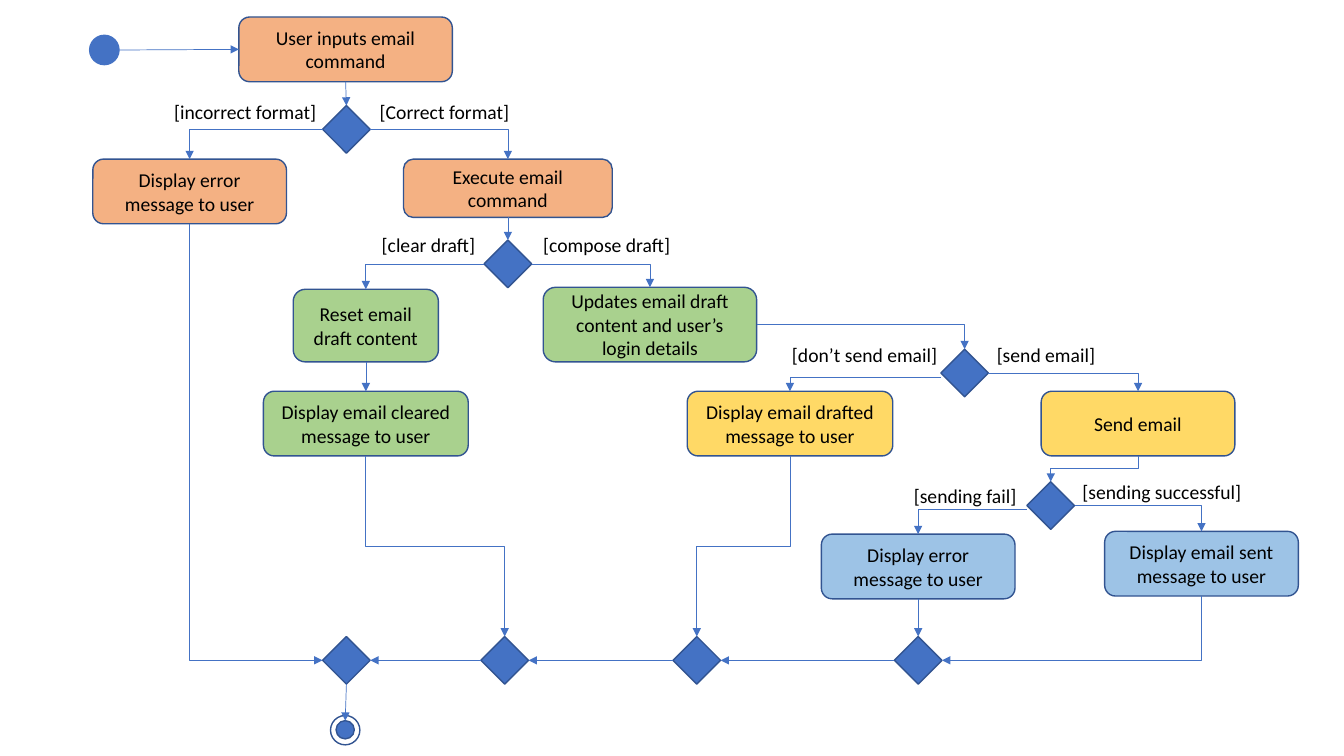
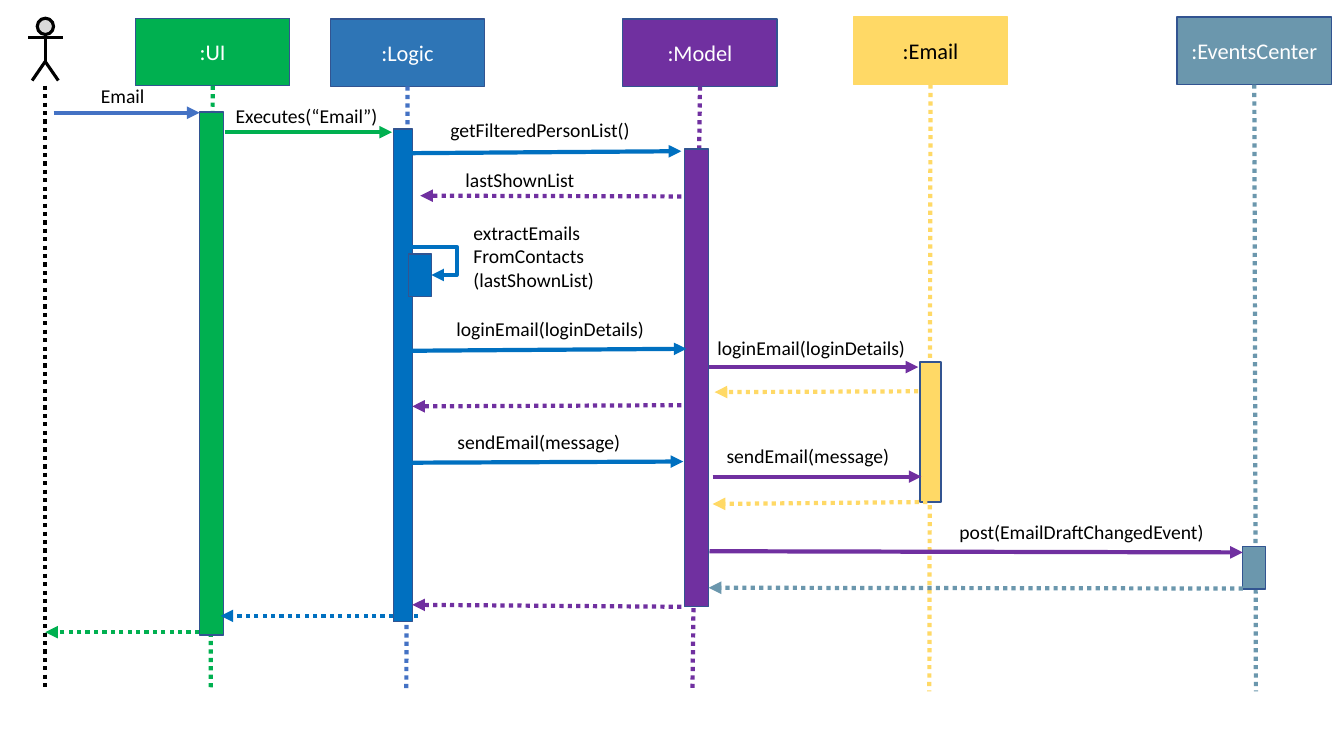
from lxml import etree
from pptx import Presentation
from pptx.dml.color import RGBColor
from pptx.enum import dml, shapes, text
from pptx.oxml import ns
from pptx.util import Cm, Pt

FONT = "Calibri"
BLACK, WHITE = "000000", "FFFFFF"
BLUE, EDGE = "4472C4", "325491"
ORANGE, LIME, YELLOW, SKY = "F4B183", "A9D18E", "FFD966", "9DC3E6"
GREEN, AZURE, PURPLE, TEAL = "00B050", "0070C0", "7030A0", "6B97AD"
GREY, LOGIC_BLUE = "D9D9D9", "2E75B6"
KINDS = shapes.MSO_SHAPE
LABEL_HEIGHT = 0.86

ACTIONS = {
    "input": (8.71, 0.43, 5.38, 1.63, ORANGE, "User inputs email command"),
    "format error": (4.78, 4.01, 4.88, 1.63, ORANGE, "Display error message to user"),
    "execute": (12.8, 4.01, 5.26, 1.47, ORANGE, "Execute email command"),
    "reset": (9.22, 7.29, 3.66, 1.83, LIME, "Reset email draft content"),
    "cleared": (9.22, 9.86, 5.16, 1.63, LIME, "Display email cleared message to user"),
    "update": (16.38, 7.24, 5.38, 1.88, LIME,
               "Updates email draft content and user’s login details"),
    "drafted": (19.91, 9.86, 5.18, 1.63, YELLOW, "Display email drafted message to user"),
    "send": (28.68, 9.86, 4.88, 1.63, YELLOW, "Send email"),
    "send error": (23.14, 13.46, 4.88, 1.63, SKY, "Display error message to user"),
    "sent": (30.28, 13.39, 4.88, 1.63, SKY, "Display email sent message to user"),
}
DECISION_SIZE, MERGE_TOP = 1.2, 16.04
DECISIONS = {
    "valid format?": (8.73, 2.66),
    "which draft?": (12.8, 6.05),
    "send now?": (24.31, 8.8),
    "delivered?": (26.48, 12.14),
    "merge format": (8.73, MERGE_TOP),
    "merge draft": (12.72, MERGE_TOP),
    "merge send": (17.56, MERGE_TOP),
    "merge delivery": (23.14, MERGE_TOP),
}
STATES = {
    "start": (2.63, 0.89, 0.74, BLUE, BLUE),
    "ring": (8.7, 18.03, 0.74, None, EDGE),
    "end": (8.7, 18.16, 0.46, BLUE, EDGE),
}
FLOWS = [
    ("start", "input", "level"),
    ("input", "valid format?", "drop"),
    ("valid format?", "execute", "branch"),
    ("valid format?", "format error", "branch"),
    ("execute", "which draft?", "drop"),
    ("which draft?", "reset", "branch"),
    ("which draft?", "update", "branch"),
    ("reset", "cleared", "drop"),
    ("update", "send now?", "branch"),
    ("send now?", "drafted", "branch", 0.1),
    ("send now?", "send", "branch"),
    ("send", "delivered?", "step"),
    ("delivered?", "send error", "branch", 0.1),
    ("delivered?", "sent", "branch"),
    ("format error", "merge format", "join"),
    ("cleared", "merge draft", "step"),
    ("drafted", "merge send", "step"),
    ("send error", "merge delivery", "drop"),
    ("sent", "merge delivery", "join"),
    ("merge delivery", "merge send", "level"),
    ("merge send", "merge draft", "level"),
    ("merge draft", "merge format", "level"),
    ("merge format", "end", "drop"),
]
GUARDS = [
    (9.32, 2.39, 4.95, "[Correct format]"),
    (4.14, 2.39, 4.47, "[incorrect format]"),
    (9.37, 5.74, 3.94, "[clear draft]"),
    (13.44, 5.74, 4.83, "[compose draft]"),
    (24.87, 8.51, 3.94, "[send email]"),
    (19.71, 8.51, 5.23, "[don’t send email]"),
    (27.03, 11.96, 5.23, "[sending successful]"),
    (22.78, 12.06, 5.23, "[sending fail]"),
]

HEADER_WIDTH, HEADER_HEIGHT, LIFELINE_END = 3.89, 1.7, 17.42
PARTICIPANTS = [
    (":UI", 5.36, 0.46, 5.31, GREEN, EDGE, WHITE, GREEN),
    (":Logic", 10.27, 0.48, 10.24, LOGIC_BLUE, EDGE, WHITE, BLUE),
    (":Model", 17.64, 0.48, 17.45, PURPLE, EDGE, WHITE, PURPLE),
    (":Email", 23.45, 0.43, 23.42, YELLOW, YELLOW, BLACK, YELLOW),
    (":EventsCenter", 31.61, 0.43, 31.65, TEAL, EDGE, WHITE, TEAL),
]
ACTOR_X = 1.14
ACTOR_HEAD = (0.94, 0.46, 0.41, 0.41)
ACTOR_LIMBS = [
    (ACTOR_X, 0.86, ACTOR_X, 1.55),
    (0.71, 0.94, 1.6, 0.94),
    (ACTOR_X, 1.55, 0.81, 2.03),
    (ACTOR_X, 1.55, 1.47, 2.03),
]
ACTIVATIONS = [
    (5.03, 2.82, 0.61, 13.18, GREEN),
    (9.91, 3.25, 0.48, 12.42, AZURE),
    (10.29, 6.4, 0.58, 1.07, AZURE),
    (17.25, 3.76, 0.61, 11.53, PURPLE),
    (23.19, 9.12, 0.53, 3.53, YELLOW),
    (31.32, 13.77, 0.58, 1.07, TEAL),
]
CALLS = [
    (1.35, 2.84, 5.03, 2.84, BLUE),
    (5.66, 3.33, 9.88, 3.33, GREEN),
    (10.34, 3.86, 17.17, 3.81, AZURE),
    (10.16, 8.84, 17.3, 8.79, AZURE),
    (17.88, 9.25, 23.14, 9.25, PURPLE),
    (10.19, 11.66, 17.22, 11.63, AZURE),
    (17.96, 12.01, 23.22, 12.01, PURPLE),
    (17.88, 13.89, 31.32, 13.92, PURPLE),
]
RETURNS = [
    (17.17, 4.95, 10.59, 4.93, PURPLE),
    (23.14, 9.86, 18.01, 9.88, YELLOW),
    (17.17, 10.21, 10.39, 10.24, PURPLE),
    (23.37, 12.65, 17.96, 12.7, YELLOW),
    (31.32, 14.83, 17.86, 14.81, TEAL),
    (17.17, 15.29, 10.39, 15.24, PURPLE),
    (10.54, 15.52, 5.56, 15.52, AZURE),
    (5.44, 15.93, ACTOR_X, 15.93, GREEN),
]
SELF_CALL, SELF_CALL_REACH = (10.31, 6.22, 10.87, 6.93), 2.14
MESSAGES = [
    (2.29, 1.98, 2.21, "Email"),
    (5.69, 2.49, 5.18, "Executes(“Email”)"),
    (11.1, 2.84, 6.81, "getFilteredPersonList()"),
    (11.48, 4.11, 6.07, "lastShownList"),
    (11.68, 5.44, 4.32, "extractEmails\nFromContacts\n(lastShownList)"),
    (11.25, 7.85, 6.88, "loginEmail(loginDetails)"),
    (17.83, 8.33, 6.2, "loginEmail(loginDetails)"),
    (11.28, 10.72, 6.07, "sendEmail(message)"),
    (18.06, 11.07, 5.66, "sendEmail(message)"),
    (23.93, 12.98, 8.33, "post(EmailDraftChangedEvent)"),
]


def rgb(code):
    return RGBColor.from_string(code)


def write(frame, words, size=14, color=BLACK, align=text.PP_ALIGN.LEFT):
    frame.word_wrap = True
    frame.text = words
    for paragraph in frame.paragraphs:
        paragraph.alignment = align
        paragraph.font.name = FONT
        paragraph.font.size = Pt(size)
        paragraph.font.color.rgb = rgb(color)


def add_block(slide, kind, box, fill, edge=EDGE, weight=1, words="", size=14, color=BLACK):
    block = slide.shapes.add_shape(kind, *map(Cm, box))
    block.shadow.inherit = False
    if fill:
        block.fill.solid()
        block.fill.fore_color.rgb = rgb(fill)
    else:
        block.fill.background()
    block.line.color.rgb = rgb(edge)
    block.line.width = Pt(weight)
    if words:
        block.text_frame.vertical_anchor = text.MSO_ANCHOR.MIDDLE
        write(block.text_frame, words, size, color, text.PP_ALIGN.CENTER)


def add_labels(slide, labels):
    for left, top, width, words in labels:
        height = LABEL_HEIGHT * len(words.split("\n"))
        label = slide.shapes.add_textbox(*map(Cm, (left, top, width, height)))
        write(label.text_frame, words)


def add_line(slide, ends, color, weight, arrow=None, dotted=False, bend=None, reach=None,
             turned=False):
    style = shapes.MSO_CONNECTOR.ELBOW if bend else shapes.MSO_CONNECTOR.STRAIGHT
    line = slide.shapes.add_connector(style, *map(Cm, ends))
    line.line.color.rgb = rgb(color)
    line.line.width = Pt(weight)
    if dotted:
        line.line.dash_style = dml.MSO_LINE.ROUND_DOT
    props = line._element.spPr
    if arrow:
        etree.SubElement(props.find(ns.qn("a:ln")), ns.qn(f"a:{arrow}"), type="triangle")
    etree.SubElement(props, ns.qn("a:effectLst"))
    geometry = props.find(ns.qn("a:prstGeom"))
    if bend:
        geometry.set("prst", bend)
    if reach:
        guides = geometry.find(ns.qn("a:avLst"))
        etree.SubElement(guides, ns.qn("a:gd"), name="adj1", fmla=f"val {round(reach * 100000)}")
    if turned:
        props.find(ns.qn("a:xfrm")).set("rot", "5400000")


def add_flow(slide, source, target, route, shift=0):
    x1, top1, width1, height1 = source
    x2, top2, width2, height2 = target
    side = 1 if x2 > x1 else -1
    middle1, middle2 = top1 + height1 / 2, top2 + height2 / 2
    out, below = (x1 + side * width1 / 2, middle1 + shift), (x1, top1 + height1)
    into, above = (x2 - side * width2 / 2, middle2), (x2, top2)
    arrow, bend = "tailEnd", None
    if route == "level":
        ends = out + into
    elif route == "drop":
        ends = below + above
    elif route == "branch":
        ends, bend = out + above, "bentConnector2"
    elif route == "join":
        ends, bend, arrow = into + below, "bentConnector2", "headEnd"
    else:
        bend = "bentConnector3"
        center_x, center_y = (x1 + x2) / 2, (below[1] + top2) / 2
        half_run, half_fall = (x2 - x1) / 2, (top2 - below[1]) / 2
        ends = (center_x - half_fall, center_y + half_run,
                center_x + half_fall, center_y - half_run)
    add_line(slide, ends, BLUE, 0.5, arrow, bend=bend, turned=route == "step")


def build_activity(slide):
    nodes = {}

    def place(name, kind, center, top, width, height, fill, edge=EDGE, words=""):
        nodes[name] = (center, top, width, height)
        add_block(slide, kind, (center - width / 2, top, width, height), fill, edge, words=words)

    for name, (center, top, width, height, fill, words) in ACTIONS.items():
        place(name, KINDS.ROUNDED_RECTANGLE, center, top, width, height, fill, words=words)
    for name, (center, top) in DECISIONS.items():
        place(name, KINDS.DIAMOND, center, top, DECISION_SIZE, DECISION_SIZE, BLUE)
    for name, (center, top, size, fill, edge) in STATES.items():
        place(name, KINDS.OVAL, center, top, size, size, fill, edge)
    add_labels(slide, GUARDS)
    for source, target, *route in FLOWS:
        add_flow(slide, nodes[source], nodes[target], *route)


def build_sequence(slide):
    add_block(slide, KINDS.FLOWCHART_CONNECTOR, ACTOR_HEAD, GREY, BLACK, 2.25)
    for limb in ACTOR_LIMBS:
        add_line(slide, limb, BLACK, 2.25)
    add_line(slide, (ACTOR_X, 2.16, ACTOR_X, LIFELINE_END), BLACK, 3, dotted=True)
    for name, center, top, foot, fill, edge, color, lifeline in PARTICIPANTS:
        header = (center - HEADER_WIDTH / 2, top, HEADER_WIDTH, HEADER_HEIGHT)
        add_block(slide, KINDS.RECTANGLE, header, fill, edge, words=name, size=16, color=color)
        add_line(slide, (center, top + HEADER_HEIGHT, foot, LIFELINE_END), lifeline, 3,
                 dotted=True)
    for *box, fill in ACTIVATIONS:
        add_block(slide, KINDS.RECTANGLE, box, fill)
    for messages, dotted in ((CALLS, False), (RETURNS, True)):
        for *ends, color in messages:
            add_line(slide, ends, color, 3, "tailEnd", dotted)
    add_line(slide, SELF_CALL, AZURE, 3, "tailEnd", bend="bentConnector3", reach=SELF_CALL_REACH)
    add_labels(slide, MESSAGES)


def main():
    deck = Presentation()
    deck.slide_width, deck.slide_height = Cm(33.87), Cm(19.05)
    for build in (build_activity, build_sequence):
        build(deck.slides.add_slide(deck.slide_layouts[6]))
    deck.save("out.pptx")


if __name__ == "__main__":
    main()
